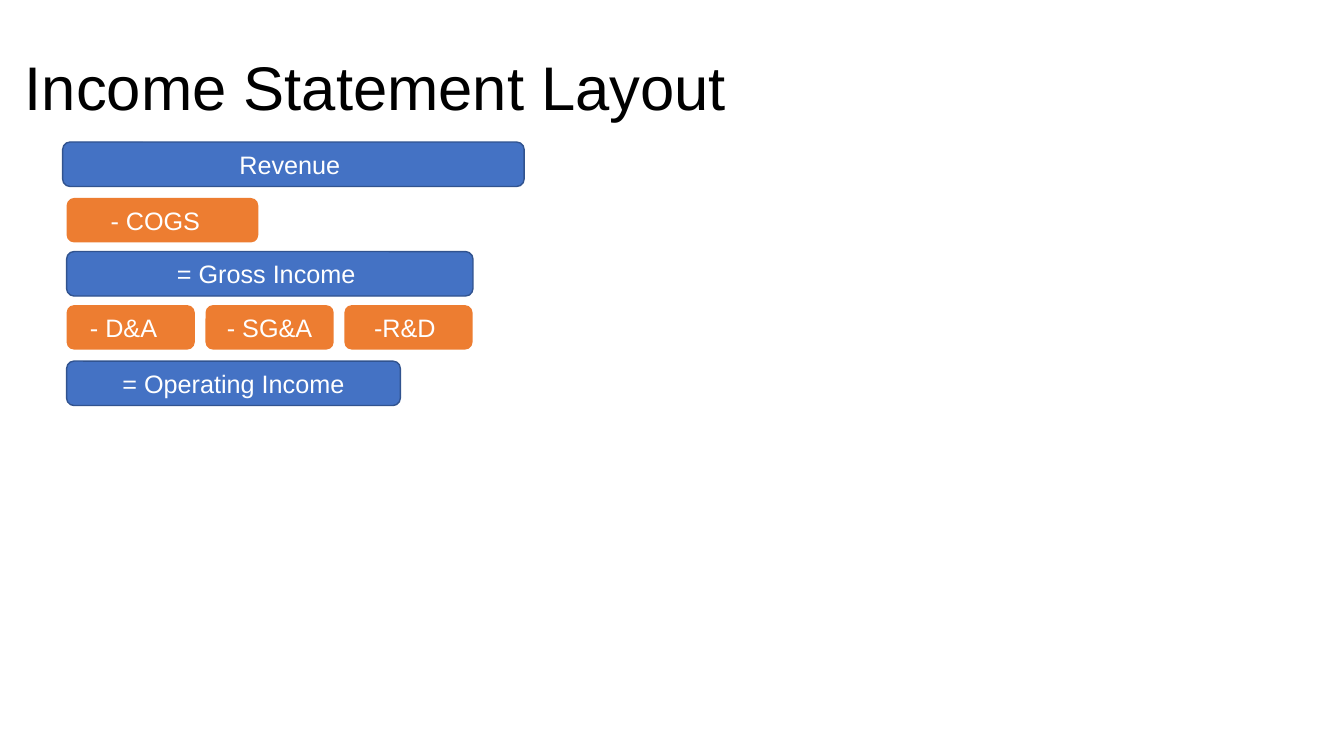
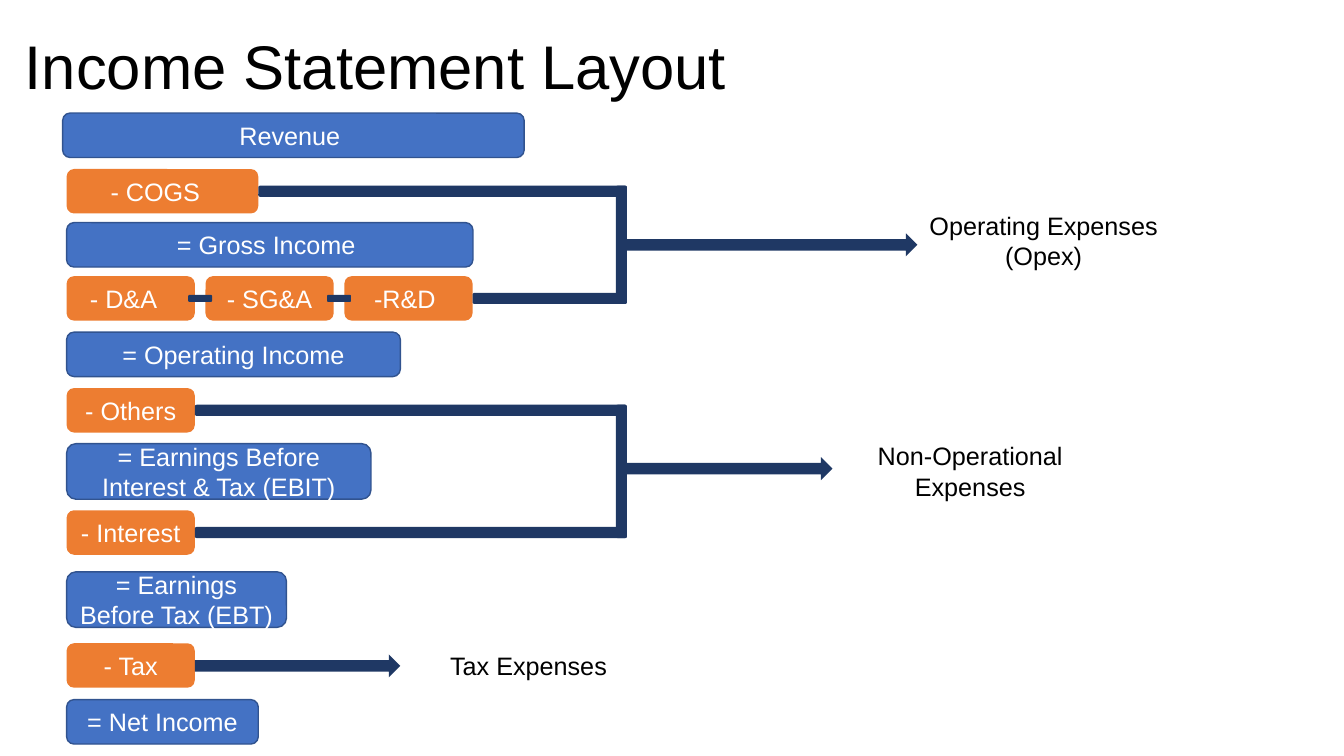
from pptx import Presentation
from pptx.dml.color import RGBColor
from pptx.enum.shapes import MSO_SHAPE
from pptx.enum.text import MSO_ANCHOR, MSO_AUTO_SIZE, PP_ALIGN
from pptx.util import Cm, Pt

ROUNDED = MSO_SHAPE.ROUNDED_RECTANGLE
ARROW = MSO_SHAPE.RIGHT_ARROW
MIDDLE, TOP = MSO_ANCHOR.MIDDLE, MSO_ANCHOR.TOP
CENTER, LEFT = PP_ALIGN.CENTER, PP_ALIGN.LEFT

BLUE = RGBColor(0x44, 0x72, 0xC4)
BLUE_EDGE = RGBColor(0x31, 0x53, 0x8F)
ORANGE = RGBColor(0xED, 0x7D, 0x31)
NAVY = RGBColor(0x1F, 0x38, 0x64)
BLACK = RGBColor(0, 0, 0)
WHITE = RGBColor(0xFF, 0xFF, 0xFF)

TITLE_FONT = {"name": "Arial", "size": Pt(44), "bold": False}
BODY_FONT = {"name": "Arial", "size": Pt(18)}
TITLE_FRAME = {"word_wrap": True, "vertical_anchor": MIDDLE, "auto_size": MSO_AUTO_SIZE.NONE}
ITEM_FRAME = {"word_wrap": True, "vertical_anchor": MIDDLE}
LABEL_FRAME = {"word_wrap": True, "vertical_anchor": TOP}
TITLE_PARAGRAPH = {"alignment": LEFT, "line_spacing": 0.9}
BODY_PARAGRAPH = {"alignment": CENTER}

STATEMENT_LEFT = 1.68
ITEM_HEIGHT, TALL_HEIGHT = 1.12, 1.4
EXPENSE_WIDTH, EXPENSE_PITCH = 3.23, 3.5
BAR_THICKNESS, ARROW_HEIGHT = 0.28, 0.58
LINK_WIDTH, LINK_HEIGHT = 0.6, 0.18
SPINE_RIGHT = 14.12
LABEL_WIDTH = 6.38
SPACE = 0.18

ITEMS = [
    ("Revenue", -0.1, 0, 11.63, ITEM_HEIGHT, SPACE),
    ("- COGS", 0, 1.41, 4.83, ITEM_HEIGHT, 2 * SPACE),
    ("= Gross Income", 0, 2.76, 10.24, ITEM_HEIGHT, SPACE),
    ("- D&A", 0, 4.11, EXPENSE_WIDTH, ITEM_HEIGHT, 2 * SPACE),
    ("- SG&A", EXPENSE_PITCH, 4.11, EXPENSE_WIDTH, ITEM_HEIGHT, 0),
    ("-R&D", 2 * EXPENSE_PITCH, 4.11, EXPENSE_WIDTH, ITEM_HEIGHT, SPACE),
    ("= Operating Income", 0, 5.52, 8.41, ITEM_HEIGHT, 0),
    ("- Others", 0, 6.93, EXPENSE_WIDTH, ITEM_HEIGHT, 0),
    ("= Earnings Before Interest & Tax (EBIT)", 0, 8.33, 7.67, TALL_HEIGHT, 0),
    ("- Interest", 0, 10.01, EXPENSE_WIDTH, ITEM_HEIGHT, 0),
    ("= Earnings Before Tax (EBT)", 0, 11.56, 5.54, TALL_HEIGHT, 0),
    ("- Tax", 0, 13.36, EXPENSE_WIDTH, ITEM_HEIGHT, 0),
    ("= Net Income", 0, 14.78, 4.83, ITEM_HEIGHT, 0),
]
OPERATING_ITEMS = ITEMS[:7]

GROUPS = [
    ("Operating Expenses (Opex)", ["- COGS", "-R&D"], 3.03, 7.32, (21.43, 2.32, 1.8)),
    ("Non-Operational Expenses", ["- Others", "- Interest"], 8.67, 5.18, (19.58, 8.13, 1.8)),
    ("Tax Expenses", ["- Tax"], 13.64, 5.18, (8.45, 13.42, 1.02)),
]


def apply_format(target, values):
    """Set every attribute in values on target."""
    for attribute, value in values.items():
        setattr(target, attribute, value)


def write(frame, text, frame_format, paragraph_format, font_format, color):
    """Put one formatted paragraph into a text frame."""
    apply_format(frame, frame_format)
    paragraph = frame.paragraphs[0]
    apply_format(paragraph, paragraph_format)
    run = paragraph.add_run()
    run.text = text
    apply_format(run.font, font_format)
    run.font.color.rgb = color


def add_block(slide, preset, left, top, width, height, fill, edge=None):
    """Add a flat filled shape, measured in centimetres."""
    block = slide.shapes.add_shape(preset, Cm(left), Cm(top), Cm(width), Cm(height))
    block.shadow.inherit = False
    block.fill.solid()
    block.fill.fore_color.rgb = fill
    if edge is None:
        block.line.fill.background()
    else:
        block.line.color.rgb = edge
        block.line.width = Pt(1)
    return block


def add_heading(slide, top):
    """Place and format the slide title."""
    heading = slide.shapes.title
    apply_format(heading, {"left": Cm(0.37), "top": Cm(top), "width": Cm(33.12), "height": Cm(2.54)})
    write(heading.text_frame, "Income Statement Layout",
          TITLE_FRAME, TITLE_PARAGRAPH, TITLE_FONT, BLACK)


def add_statement(slide, left, top, items):
    """Draw the statement items and return the right edge and middle of each."""
    anchors = {}
    for text, x, y, width, height, nudge in items:
        is_total = not text.startswith("-")
        fill, edge = (BLUE, BLUE_EDGE) if is_total else (ORANGE, None)
        item = add_block(slide, ROUNDED, left + x, top + y, width, height, fill, edge)
        item.text_frame.margin_right = Cm(0.25 + nudge)
        write(item.text_frame, text, ITEM_FRAME, BODY_PARAGRAPH, BODY_FONT, WHITE)
        anchors[text] = (left + x + width, top + y + height / 2)
    return anchors


def add_links(slide, anchors):
    """Join the neighbouring operating expenses with short bars."""
    gap = EXPENSE_PITCH - EXPENSE_WIDTH
    for text in ("- D&A", "- SG&A"):
        right, middle = anchors[text]
        add_block(slide, ROUNDED, right + (gap - LINK_WIDTH) / 2, middle - LINK_HEIGHT / 2,
                  LINK_WIDTH, LINK_HEIGHT, NAVY)


def add_bracket(slide, sources, spine_right):
    """Draw a bar from each source to a shared upright spine."""
    half = BAR_THICKNESS / 2
    for right, middle in sources:
        add_block(slide, ROUNDED, right, middle - half, spine_right - right, BAR_THICKNESS, NAVY)
    first, last = sources[0][1], sources[-1][1]
    add_block(slide, ROUNDED, spine_right - BAR_THICKNESS, first - half,
              BAR_THICKNESS, last - first + BAR_THICKNESS, NAVY)


def add_groups(slide, left, top, anchors):
    """Lead the expense items to the names of their groups."""
    for text, members, arrow_top, arrow_width, (label_x, label_y, label_height) in GROUPS:
        sources = [anchors[member] for member in members]
        arrow_left = sources[0][0]
        if len(sources) > 1:
            arrow_left = left + SPINE_RIGHT
            add_bracket(slide, sources, arrow_left)
        add_block(slide, ARROW, arrow_left, top + arrow_top, arrow_width, ARROW_HEIGHT, NAVY)
        label = slide.shapes.add_textbox(Cm(left + label_x), Cm(top + label_y),
                                         Cm(LABEL_WIDTH), Cm(label_height))
        write(label.text_frame, text, LABEL_FRAME, BODY_PARAGRAPH, BODY_FONT, BLACK)


def build_operating_slide(slide):
    """Show the statement down to operating income."""
    add_heading(slide, 1.02)
    add_statement(slide, STATEMENT_LEFT, 3.58, OPERATING_ITEMS)


def build_full_slide(slide):
    """Show the whole statement with its expense groups."""
    top = 2.85
    add_heading(slide, 0.48)
    anchors = add_statement(slide, STATEMENT_LEFT, top, ITEMS)
    add_links(slide, anchors)
    add_groups(slide, STATEMENT_LEFT, top, anchors)


def main():
    """Build and save the presentation."""
    deck = Presentation()
    deck.slide_width, deck.slide_height = Cm(33.87), Cm(19.05)
    title_only = deck.slide_layouts[5]
    for build in (build_operating_slide, build_full_slide):
        build(deck.slides.add_slide(title_only))
    deck.save("out.pptx")


if __name__ == "__main__":
    main()
